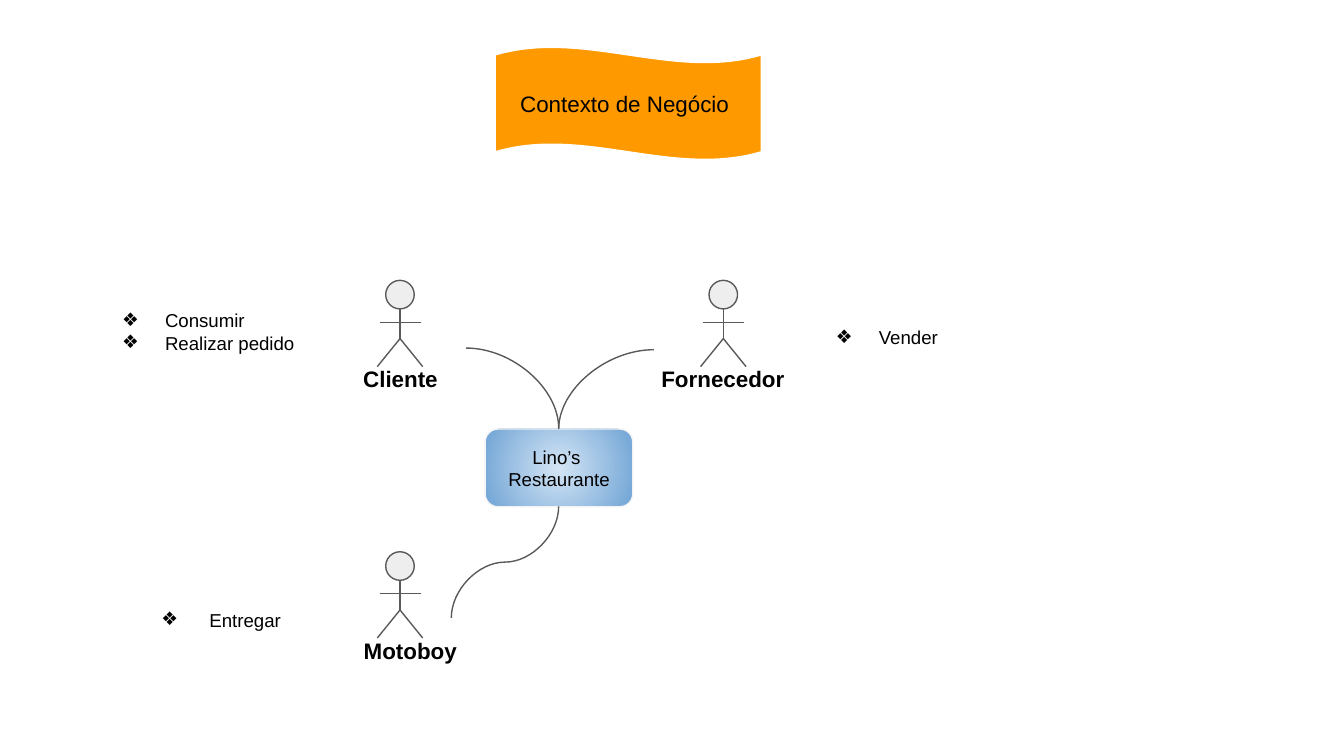
"""Build the business context slide: a restaurant and its three actors."""
from dataclasses import dataclass

import pptx
import pptx.dml.color
import pptx.enum.shapes
import pptx.enum.text
import pptx.oxml
import pptx.oxml.ns
import pptx.util

Cm = pptx.util.Cm
Pt = pptx.util.Pt
RGB = pptx.dml.color.RGBColor.from_string
PRESET = pptx.enum.shapes.MSO_SHAPE
CONNECTOR = pptx.enum.shapes.MSO_CONNECTOR
ALIGN = pptx.enum.text.PP_ALIGN
ANCHOR = pptx.enum.text.MSO_ANCHOR
NS = pptx.oxml.ns.nsdecls("a")


@dataclass(frozen=True)
class Theme:
    font: str = "Arial"
    text: str = "000000"
    stroke: str = "595959"
    head: str = "EEEEEE"
    banner: str = "FF9900"
    banner_edge: str = "FFFFFF"
    core_inner: str = "D4E5F5"
    core_outer: str = "70A4D5"
    core_edge: str = "F3F3F3"
    large: int = 12
    small: int = 10
    stroke_width: float = 0.75


theme = Theme()


def write(holder, lines, size, align=ALIGN.LEFT, anchor=ANCHOR.TOP, bold=False):
    frame = holder.text_frame
    frame.auto_size = pptx.enum.text.MSO_AUTO_SIZE.NONE
    frame.word_wrap = True
    frame.vertical_anchor = anchor
    frame.margin_left = frame.margin_right = Cm(0.25)
    frame.margin_top = frame.margin_bottom = Cm(0.25)
    frame.text = "\n".join(lines)
    for paragraph in frame.paragraphs:
        paragraph.alignment = align
        paragraph.font.name = theme.font
        paragraph.font.size = Pt(size)
        paragraph.font.bold = bold
        paragraph.font.color.rgb = RGB(theme.text)
    return frame


def connect(shapes, kind, x1, y1, x2, y2):
    link = shapes.add_connector(kind, Cm(x1), Cm(y1), Cm(x2), Cm(y2))
    link.line.color.rgb = RGB(theme.stroke)
    link.line.width = Pt(theme.stroke_width)
    properties = link._element.spPr
    properties.append(pptx.oxml.parse_xml(f"<a:effectLst {NS}/>"))
    return properties


deck = pptx.Presentation()
deck.slide_width, deck.slide_height = Cm(25.4), Cm(14.29)
slide = deck.slides.add_slide(deck.slide_layouts[5])

banner_box = Cm(9.36), Cm(0.89), Cm(5.03), Cm(2.13)
banner = slide.shapes.add_shape(PRESET.WAVE, *banner_box)
banner.adjustments[0] = 0.07
banner.fill.solid()
banner.fill.fore_color.rgb = RGB(theme.banner)

title = slide.shapes.title
title.left, title.top, title.width, title.height = banner_box
write(title, ["Contexto de Negócio"], theme.large,
      anchor=ANCHOR.MIDDLE).margin_left = Cm(0.47)
banner._element.addnext(title._element)

core = slide.shapes.add_shape(
    PRESET.ROUNDED_RECTANGLE, Cm(9.17), Cm(8.11), Cm(2.79), Cm(1.47))
core.adjustments[0] = 0.167
core._element.spPr.insert(2, pptx.oxml.parse_xml(
    f'<a:gradFill {NS}><a:gsLst>'
    f'<a:gs pos="0"><a:srgbClr val="{theme.core_inner}"/></a:gs>'
    f'<a:gs pos="100000"><a:srgbClr val="{theme.core_outer}"/></a:gs></a:gsLst>'
    '<a:path path="circle"><a:fillToRect l="50000" t="50000" r="50000" b="50000"/>'
    '</a:path></a:gradFill>'))
write(core, ["Lino’s ", "Restaurante"], theme.small, ALIGN.CENTER, ANCHOR.MIDDLE)

for panel, edge in ((banner, theme.banner_edge), (core, theme.core_edge)):
    panel.shadow.inherit = False
    panel.line.color.rgb = RGB(edge)
    panel.line.width = Pt(theme.stroke_width)

head_size = 0.54
limbs = [
    (0, 0.54, 0, 1.1),
    (-0.38, 0.79, 0.39, 0.79),
    (0, 1.1, -0.43, 1.63),
    (0.43, 1.63, 0, 1.1),
]
actors = [
    ("Fornecedor", 13.67, 5.3, 12.25, 3.0, ALIGN.LEFT),
    ("Cliente", 7.56, 5.3, 6.15, 2.84, ALIGN.CENTER),
    ("Motoboy", 7.56, 10.43, 6.14, 3.23, ALIGN.CENTER),
]
for role, x, y, label_left, label_width, align in actors:
    actor = slide.shapes.add_group_shape().shapes
    head = actor.add_shape(PRESET.FLOWCHART_CONNECTOR, Cm(x - head_size / 2), Cm(y),
                           Cm(head_size), Cm(head_size))
    head.shadow.inherit = False
    head.fill.solid()
    head.fill.fore_color.rgb = RGB(theme.head)
    head.line.color.rgb = RGB(theme.stroke)
    head.line.width = Pt(theme.stroke_width)
    for x1, y1, x2, y2 in limbs:
        connect(actor, CONNECTOR.STRAIGHT, x + x1, y + y1, x + x2, y + y2)
    label = actor.add_textbox(Cm(label_left), Cm(y + 1.36), Cm(label_width), Cm(1))
    write(label, [role], theme.large, align, bold=True)

curves = [
    ("curvedConnector2", 10.71, 6.46, 1.5, 1.8, 270),
    ("curvedConnector2", 8.81, 6.58, 1.75, 1.52, 0),
    ("curvedConnector3", 8.49, 9.61, 2.11, 2.03, 270),
]
for preset, left, top, width, height, turn in curves:
    curve = connect(slide.shapes, CONNECTOR.CURVE, left, top, left + width, top + height)
    curve.prstGeom.set("prst", preset)
    curve.xfrm.set("rot", str(turn * 60000))

activities = [
    (["Consumir", "Realizar pedido"], 1.6, 5.59, 4.75, 1.5, 1.27),
    (["Vender"], 15.09, 5.91, 5.03, 1.5, 1.27),
    (["Entregar"], 2.34, 11.25, 3.28, 0.79, 1.37),
]
bullet_left = 0.46
bullet_marks = [
    f'<a:buClr {NS}><a:srgbClr val="{theme.text}"/></a:buClr>',
    f'<a:buSzPts {NS} val="{theme.small * 100}"/>',
    f'<a:buFont {NS} typeface="{theme.font}"/>',
    f'<a:buChar {NS} char="❖"/>',
]
for items, left, top, width, height, indent in activities:
    listing = slide.shapes.add_textbox(Cm(left), Cm(top), Cm(width), Cm(height))
    for paragraph in write(listing, items, theme.small).paragraphs:
        properties = paragraph._p.get_or_add_pPr()
        properties.set("marL", str(Cm(indent)))
        properties.set("indent", str(Cm(bullet_left - indent)))
        for place, mark in enumerate(bullet_marks):
            properties.insert(place, pptx.oxml.parse_xml(mark))

deck.save("out.pptx")
